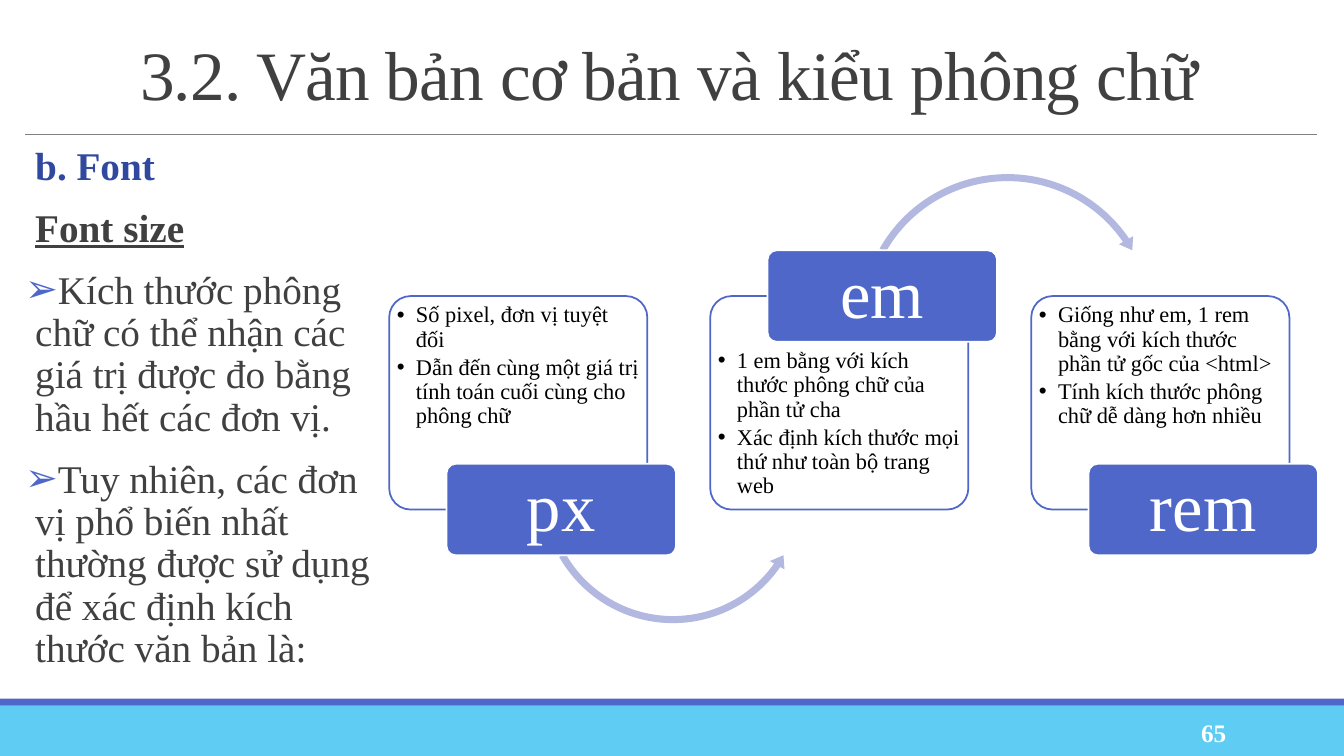
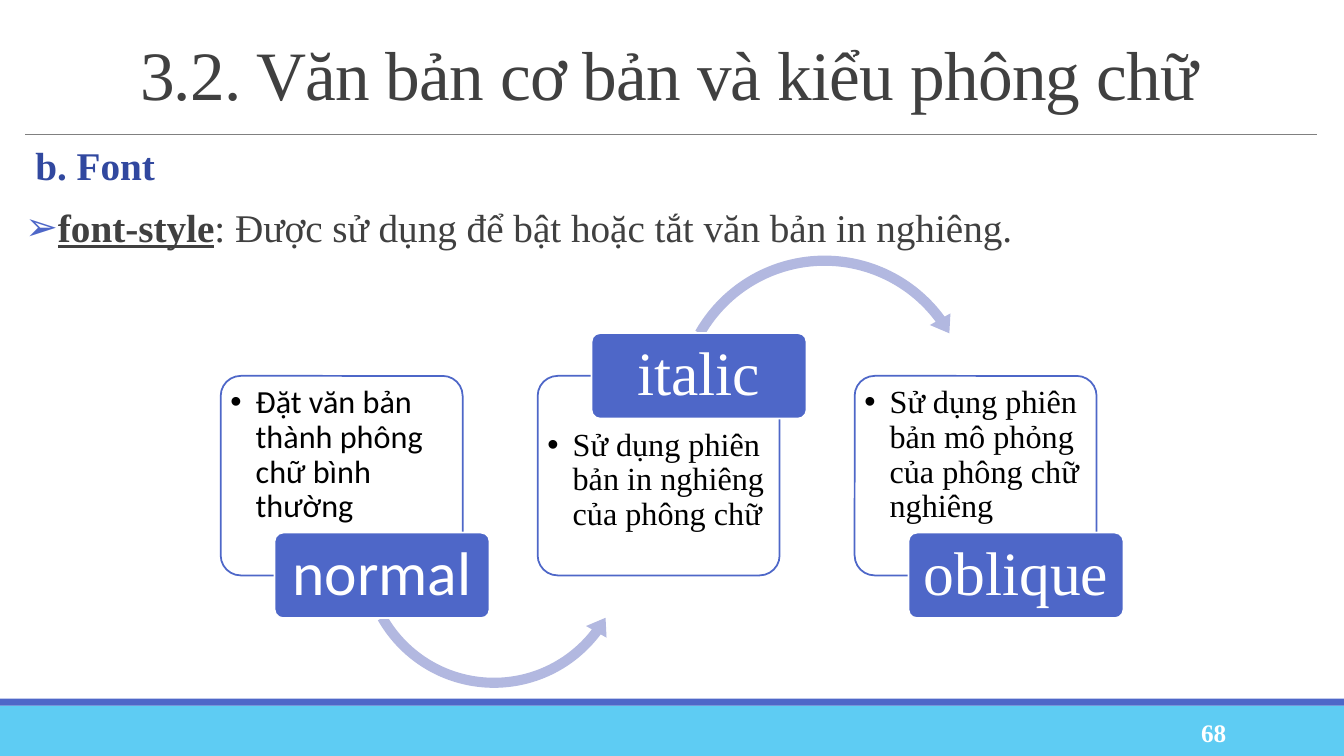
from lxml.etree import SubElement
from pptx import Presentation
from pptx.dml.color import RGBColor
from pptx.enum.shapes import MSO_CONNECTOR, MSO_SHAPE
from pptx.enum.text import MSO_ANCHOR, PP_ALIGN
from pptx.oxml.ns import qn
from pptx.util import Pt

COLORS = {
    "band": "5ECCF3", "accent": "4E67C8", "rule": "808080", "text": "404040",
    "heading": "31489F", "arrow": "B2B8E0", "white": "FFFFFF", "black": "000000",
}
SERIF = "Times New Roman"
SANS = "Calibri"
TITLE = "3.2. Văn bản cơ bản và kiểu phông chữ"
HEADING = {"bold": True, "color": "heading"}
TERM = {"bold": True, "underline": True}
PLAIN = {}

SLIDES = [
    {
        "number": "65",
        "body_width": 260,
        "body_align": PP_ALIGN.LEFT,
        "body": [
            (None, [("b. Font", HEADING)]),
            (None, [("Font size", TERM)]),
            ("➢", [("Kích thước phông chữ có thể nhận các giá trị được đo bằng hầu hết các đơn vị.", PLAIN)]),
            ("➢", [("Tuy nhiên, các đơn vị phổ biến nhất thường được sử dụng để xác định kích thước văn bản là:", PLAIN)]),
        ],
        "diagram": {
            "left": 278, "top": 211.5, "pitch": 229.3, "width": 184.4, "height": 152.5,
            "label_size": 49, "text_size": 16, "indent": 13.7, "margin": 1,
            "label_margins": (7.2, 5),
            "steps": [
                ("px", SERIF, ["Số pixel, đơn vị tuyệt đối",
                               "Dẫn đến cùng một giá trị tính toán cuối cùng cho phông chữ"]),
                ("em", SERIF, ["1 em bằng với kích thước phông chữ của phần tử cha",
                               "Xác định kích thước mọi thứ như toàn bộ trang web"]),
                ("rem", SERIF, ["Giống như em, 1 rem bằng với kích thước phần tử gốc của <html>",
                                "Tính kích thước phông chữ dễ dàng hơn nhiều"]),
            ],
            "arrows": [
                (MSO_SHAPE.LEFT_CIRCULAR_ARROW, 383.8, 254.9, 193.7, (2.6, 5.32, 34.92, 150.41, 3.1)),
                (MSO_SHAPE.CIRCULAR_ARROW, 611.3, 121, 216.7, (2.3, 4.71, 325.7, 209.59, 2.7)),
            ],
        },
    },
    {
        "number": "68",
        "body_width": 923,
        "body_align": PP_ALIGN.JUSTIFY,
        "body": [
            (None, [("b. Font", HEADING)]),
            ("➢", [("font-style", TERM),
                   (": Được sử dụng để bật hoặc tắt văn bản in nghiêng.", PLAIN)]),
        ],
        "diagram": {
            "left": 157.7, "top": 268.5, "pitch": 226.4, "width": 172.8, "height": 142.5,
            "label_size": 44, "text_size": 23, "indent": 18, "margin": 2.8,
            "label_margins": (6.2, 4.4),
            "steps": [
                ("normal", SANS, ["Đặt văn bản thành phông chữ bình thường"]),
                ("italic", SERIF, ["Sử dụng phiên bản in nghiêng của phông chữ"]),
                ("oblique", SERIF, ["Sử dụng phiên bản mô phỏng của phông chữ nghiêng"]),
            ],
            "arrows": [
                (MSO_SHAPE.LEFT_CIRCULAR_ARROW, 252.7, 295.9, 200.2, (3.6, 7.52, 37.11, 150.41, 4.2)),
                (MSO_SHAPE.CIRCULAR_ARROW, 478.1, 177.8, 221.8, (3.3, 6.72, 323.69, 209.59, 3.8)),
            ],
        },
    },
]


def rgb(name):
    return RGBColor.from_string(COLORS[name])


def set_frame(shape, margins, anchor):
    frame = shape.text_frame
    frame.word_wrap = True
    frame.vertical_anchor = anchor
    frame.margin_left, frame.margin_top, frame.margin_right, frame.margin_bottom = map(Pt, margins)
    return frame


def style_run(run, size, color, font=SERIF, bold=False, underline=False):
    run.font.name = font
    run.font.size = Pt(size)
    run.font.color.rgb = rgb(color)
    run.font.bold = bold
    run.font.underline = underline


def set_bullet(paragraph, character, color, left, hanging):
    properties = paragraph._p.get_or_add_pPr()
    properties.set("marL", str(Pt(left)))
    properties.set("indent", str(-Pt(hanging)))
    if character:
        bullet_color = SubElement(properties, qn("a:buClr"))
        SubElement(bullet_color, qn("a:srgbClr"), val=COLORS[color])
        SubElement(properties, qn("a:buFont"), typeface="Arial")
        SubElement(properties, qn("a:buChar"), char=character)
    else:
        SubElement(properties, qn("a:buNone"))


def next_paragraph(frame, index):
    return frame.add_paragraph() if index else frame.paragraphs[0]


def add_shape(slide, kind, left, top, width, height, fill, line=None):
    shape = slide.shapes.add_shape(kind, Pt(left), Pt(top), Pt(width), Pt(height))
    shape.shadow.inherit = False
    shape.fill.solid()
    shape.fill.fore_color.rgb = rgb(fill)
    if line:
        shape.line.color.rgb = rgb(line)
        shape.line.width = Pt(1.25)
    else:
        shape.line.fill.background()
    return shape


def add_line_of_text(slide, text, box, size, color, align, bold=False):
    shape = slide.shapes.add_textbox(*map(Pt, box))
    frame = set_frame(shape, (7.2, 3.6, 7.2, 3.6), MSO_ANCHOR.MIDDLE)
    frame.text = text
    paragraph = frame.paragraphs[0]
    paragraph.alignment = align
    style_run(paragraph.runs[0], size, color, bold=bold)
    return paragraph


def add_frame_parts(slide, number):
    add_shape(slide, MSO_SHAPE.RECTANGLE, 0, 504, 960, 36, "band")
    add_shape(slide, MSO_SHAPE.RECTANGLE, 0, 499, 960, 5, "accent")
    rule = slide.shapes.add_connector(MSO_CONNECTOR.STRAIGHT, Pt(18), Pt(96), Pt(941), Pt(96))
    rule.line.color.rgb = rgb("rule")
    rule.line.width = Pt(0.5)
    SubElement(rule._element.spPr, qn("a:effectLst"))
    title = add_line_of_text(slide, TITLE, (93, 22.3, 848, 69), 49.5, "text", PP_ALIGN.LEFT)
    title.line_spacing = 0.85
    title.runs[0]._r.get_or_add_rPr().set("spc", "-50")
    add_line_of_text(slide, number, (780, 508.5, 103, 28.8), 18, "white", PP_ALIGN.RIGHT, True)


def add_body(slide, paragraphs, width, align):
    shape = slide.shapes.add_textbox(Pt(18), Pt(101), Pt(width), Pt(384.5))
    frame = set_frame(shape, (0, 3.6, 0, 3.6), MSO_ANCHOR.TOP)
    for index, (bullet, runs) in enumerate(paragraphs):
        paragraph = next_paragraph(frame, index)
        set_bullet(paragraph, bullet, "accent", 7.2, 7.2 if bullet else 0)
        paragraph.alignment = align
        paragraph.line_spacing = 0.9
        paragraph.space_before = Pt(12 if index else 0)
        paragraph.space_after = Pt(2)
        for text, style in runs:
            run = paragraph.add_run()
            run.text = text
            style_run(run, 28, **{"color": "text", **style})


def add_card(slide, diagram, left, top_gap, font, items):
    margin = diagram["margin"]
    card = add_shape(slide, MSO_SHAPE.ROUNDED_RECTANGLE, left, diagram["top"],
                     diagram["width"], diagram["height"], "white", "accent")
    card.adjustments[0] = 0.1
    fill_color = card._element.spPr.find(qn("a:solidFill"))[0]
    SubElement(fill_color, qn("a:alpha"), val="90000")
    frame = set_frame(card, (margin, margin + top_gap, margin, margin), MSO_ANCHOR.TOP)
    for index, item in enumerate(items):
        paragraph = next_paragraph(frame, index)
        paragraph.text = item
        set_bullet(paragraph, "•", "black", diagram["indent"], diagram["indent"])
        paragraph.alignment = PP_ALIGN.LEFT
        paragraph.line_spacing = 0.9
        paragraph.space_after = Pt(2.8)
        style_run(paragraph.runs[0], diagram["text_size"], "black", font)


def add_arrow(slide, kind, left, top, size, geometry):
    arrow = add_shape(slide, kind, left, top, size, size, "arrow")
    thickness, head_angle, end_angle, start_angle, head_width = geometry
    angles = [angle * 0.6 for angle in (head_angle, end_angle, start_angle)]
    for index, value in enumerate([thickness / 100, *angles, head_width / 100]):
        arrow.adjustments[index] = value


def add_label(slide, diagram, left, top, width, height, text, font):
    label = add_shape(slide, MSO_SHAPE.ROUNDED_RECTANGLE, left, top, width, height, "accent", "white")
    label.adjustments[0] = 0.1
    frame = set_frame(label, diagram["label_margins"] * 2, MSO_ANCHOR.MIDDLE)
    frame.text = text
    paragraph = frame.paragraphs[0]
    paragraph.alignment = PP_ALIGN.CENTER
    paragraph.line_spacing = 0.9
    style_run(paragraph.runs[0], diagram["label_size"], "white", font)


def add_diagram(slide, diagram):
    label_width = diagram["width"] * 8 / 9
    label_height = diagram["height"] * 3 / 7
    for index, (name, font, items) in enumerate(diagram["steps"]):
        left = diagram["left"] + index * diagram["pitch"]
        label_on_top = index % 2 == 1
        edge = diagram["top"] + (0 if label_on_top else diagram["height"])
        add_card(slide, diagram, left, label_height / 2 if label_on_top else 0, font, items)
        if index < len(diagram["arrows"]):
            add_arrow(slide, *diagram["arrows"][index])
        add_label(slide, diagram, left + diagram["width"] * 2 / 9, edge - label_height / 2,
                  label_width, label_height, name, font)


def main():
    presentation = Presentation()
    presentation.slide_width = Pt(960)
    presentation.slide_height = Pt(540)
    for content in SLIDES:
        slide = presentation.slides.add_slide(presentation.slide_layouts[6])
        add_frame_parts(slide, content["number"])
        add_body(slide, content["body"], content["body_width"], content["body_align"])
        add_diagram(slide, content["diagram"])
    presentation.save("out.pptx")


if __name__ == "__main__":
    main()
